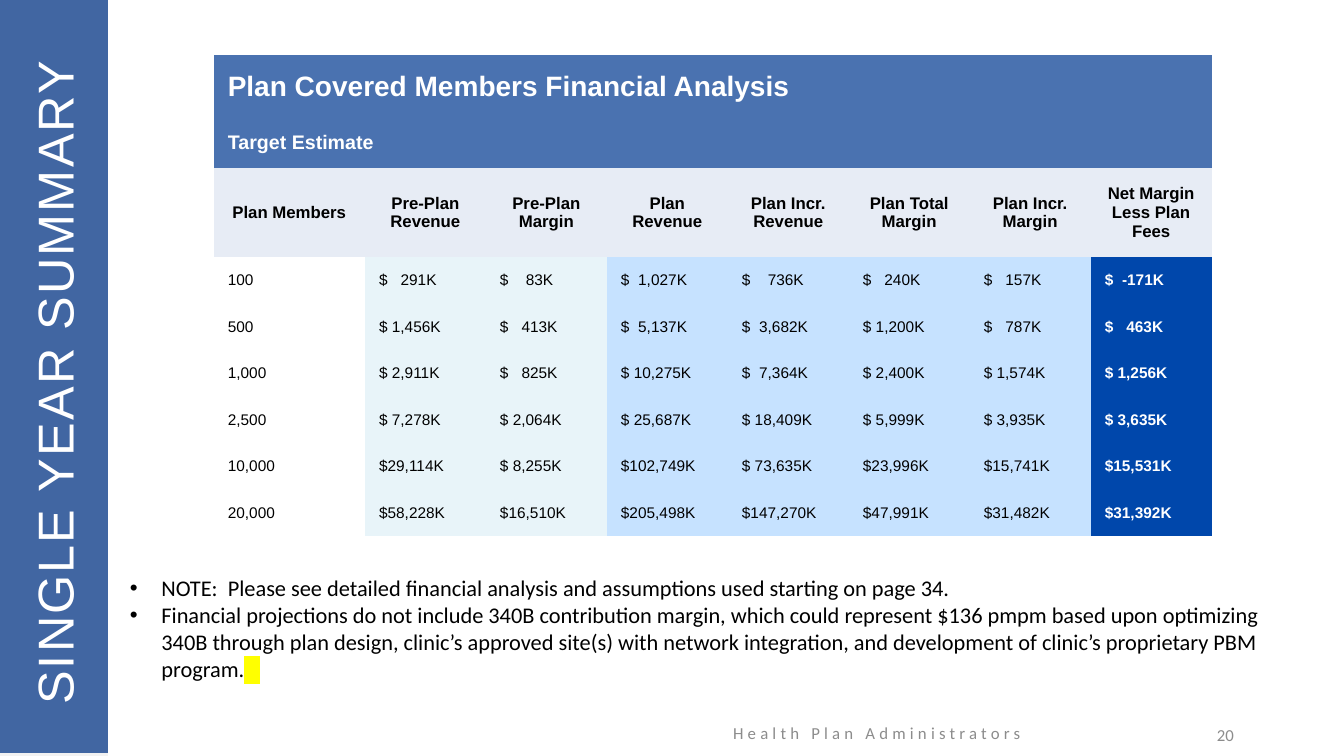
from dataclasses import dataclass

import lxml.etree
import pptx
import pptx.dml.color
import pptx.enum.shapes
import pptx.enum.text
import pptx.oxml.ns
import pptx.shapes.autoshape
import pptx.slide
import pptx.table
import pptx.text.text
import pptx.util

RGBColor = pptx.dml.color.RGBColor
Align = pptx.enum.text.PP_ALIGN
Anchor = pptx.enum.text.MSO_ANCHOR
qn = pptx.oxml.ns.qn

WHITE = RGBColor(0xFF, 0xFF, 0xFF)
BLACK = RGBColor(0x00, 0x00, 0x00)
GREY = RGBColor(0x8C, 0x8C, 0x8C)
PALE_GREY = RGBColor(0xF2, 0xF2, 0xF2)
NAVY = RGBColor(0x25, 0x4F, 0x96)
BANNER_BLUE = RGBColor(0x4A, 0x72, 0xB0)
HEADING_TINT = RGBColor(0xE7, 0xEC, 0xF5)
BEFORE_TINT = RGBColor(0xE8, 0xF4, 0xF9)
AFTER_TINT = RGBColor(0xC6, 0xE2, 0xFF)
COBALT = RGBColor(0x00, 0x47, 0xAB)
YELLOW = RGBColor(0xFF, 0xFF, 0x00)

GRID_STEP = pptx.util.Inches(0.1)
GRID_COLUMNS, GRID_ROWS = 133.33, 75
PLAIN_TABLE = "{2D5ABB26-0587-4C30-8999-92F81FD0307C}"
FIGURE_SIZE = 11
DIGIT_EM, SPACE_EM = 0.56, 0.28


def grid(steps: float) -> pptx.util.Emu:
    return pptx.util.Emu(round(steps * GRID_STEP))


@dataclass(frozen=True)
class Area:
    column: float
    row: float
    columns: float
    rows: float

    def lengths(self) -> list[pptx.util.Emu]:
        return [grid(steps) for steps in (self.column, self.row, self.columns, self.rows)]


@dataclass(frozen=True)
class Style:
    size: float
    color: RGBColor
    font: str = "Arial"
    bold: bool = False
    spacing: int = 0


@dataclass(frozen=True)
class Label:
    text: str
    area: Area
    style: Style
    align: Align = Align.LEFT
    rotation: float = 0


@dataclass(frozen=True)
class Panel:
    area: Area
    color: RGBColor
    opacity: int = 100


@dataclass(frozen=True)
class Measure:
    heading: str
    figures: tuple[int, ...]
    digits: int
    fill: RGBColor
    style: Style = Style(FIGURE_SIZE, BLACK)


PANELS = (
    Panel(Area(0, 0, 10.7, GRID_ROWS), PALE_GREY),
    Panel(Area(0, -0.3, 10.7, GRID_ROWS), NAVY, 86),
)
LABELS = (
    Label("Health Plan Administrators", Area(64.5, 70.7, 45, 4),
          Style(12, GREY, "Calibri", spacing=300), Align.CENTER),
    Label("20", Area(93.4, 70.9, 30, 4), Style(12, GREY, "Calibri"), Align.RIGHT),
    Label("SINGLE YEAR SUMMARY", Area(-28.3, 33.2, 67.2, 8.2),
          Style(36, WHITE, spacing=150), rotation=270),
)
NOTES_AREA = Area(11.9, 56.5, 119, 11.8)
NOTES_STYLE = Style(16, BLACK, "Calibri")
NOTES = (
    "NOTE:  Please see detailed financial analysis and assumptions used starting on page 34.",
    "Financial projections do not include 340B contribution margin, which could represent $136 pmpm "
    "based upon optimizing 340B through plan design, clinic’s approved site(s) with network integration, "
    "and development of clinic’s proprietary PBM program.",
)

TABLE_AREA = Area(21.2, 5.5, 99, 47.7)
MEMBERS_COLUMN, MEASURE_COLUMN = 15, 12
BANNERS = (
    ("Plan Covered Members Financial Analysis", Style(20, WHITE, bold=True)),
    ("Target Estimate", Style(14, WHITE, bold=True)),
)
HEADING_STYLE = Style(12, BLACK, bold=True)
MEMBERS = (100, 500, 1000, 2500, 10000, 20000)
MEASURES = (
    Measure("Pre-Plan Revenue", (291, 1456, 2911, 7278, 29114, 58228), 6, BEFORE_TINT),
    Measure("Pre-Plan Margin", (83, 413, 825, 2064, 8255, 16510), 6, BEFORE_TINT),
    Measure("Plan Revenue", (1027, 5137, 10275, 25687, 102749, 205498), 7, AFTER_TINT),
    Measure("Plan Incr. Revenue", (736, 3682, 7364, 18409, 73635, 147270), 7, AFTER_TINT),
    Measure("Plan Total Margin", (240, 1200, 2400, 5999, 23996, 47991), 6, AFTER_TINT),
    Measure("Plan Incr. Margin", (157, 787, 1574, 3935, 15741, 31482), 6, AFTER_TINT),
    Measure("Net Margin Less Plan Fees", (-171, 463, 1256, 3635, 15531, 31392), 6, COBALT,
            Style(FIGURE_SIZE, WHITE, bold=True)),
)
ROW_HEIGHTS = (6.2, 5, 8.8) + (4.62,) * len(MEMBERS)


def add_run(paragraph: pptx.text.text._Paragraph, text: str, style: Style) -> pptx.text.text._Run:
    run = paragraph.add_run()
    run.text = text
    run.font.name = style.font
    run.font.size = pptx.util.Pt(style.size)
    run.font.bold = style.bold
    run.font.color.rgb = style.color
    if style.spacing:
        run.font._element.set("spc", str(style.spacing))
    return run


def draw_panel(slide: pptx.slide.Slide, panel: Panel) -> None:
    side = slide.shapes.add_shape(pptx.enum.shapes.MSO_SHAPE.RECTANGLE, *panel.area.lengths())
    side.shadow.inherit = False
    side.fill.solid()
    side.fill.fore_color.rgb = panel.color
    side.line.fill.background()
    if panel.opacity < 100:
        tint = side._element.spPr.find(qn("a:solidFill"))[0]
        lxml.etree.SubElement(tint, qn("a:alpha"), val=str(panel.opacity * 1000))


def draw_label(slide: pptx.slide.Slide, label: Label) -> None:
    box = slide.shapes.add_textbox(*label.area.lengths())
    box.rotation = label.rotation
    box.text_frame.word_wrap = True
    box.text_frame.vertical_anchor = Anchor.MIDDLE
    paragraph = box.text_frame.paragraphs[0]
    paragraph.alignment = label.align
    add_run(paragraph, label.text, label.style)


def draw_notes(slide: pptx.slide.Slide) -> None:
    frame = slide.shapes.add_textbox(*NOTES_AREA.lengths()).text_frame
    frame.word_wrap = True
    for index, note in enumerate(NOTES):
        paragraph = frame.add_paragraph() if index else frame.paragraphs[0]
        properties = paragraph._p.get_or_add_pPr()
        properties.set("marL", str(grid(3.13)))
        properties.set("indent", str(grid(-3.13)))
        lxml.etree.SubElement(properties, qn("a:buFont"), typeface="Arial")
        lxml.etree.SubElement(properties, qn("a:buChar"), char="•")
        add_run(paragraph, note, NOTES_STYLE)
    marker = add_run(paragraph, "   ", NOTES_STYLE)
    highlight = lxml.etree.Element(qn("a:highlight"))
    lxml.etree.SubElement(highlight, qn("a:srgbClr"), val=str(YELLOW))
    marker.font._element.find(qn("a:solidFill")).addnext(highlight)


def fill_cell(cell: pptx.table._Cell, text: str, style: Style, fill: RGBColor | None,
              align: Align = Align.LEFT) -> pptx.text.text._Paragraph:
    cell.margin_left = cell.margin_right = grid(1.4)
    cell.margin_top = cell.margin_bottom = 0
    cell.vertical_anchor = Anchor.MIDDLE
    if fill is None:
        cell.fill.background()
    else:
        cell.fill.solid()
        cell.fill.fore_color.rgb = fill
    paragraph = cell.text_frame.paragraphs[0]
    paragraph.alignment = align
    add_run(paragraph, text, style)
    return paragraph


def fill_figure(cell: pptx.table._Cell, figure: int, measure: Measure) -> None:
    amount = f"{figure:,}K"
    gap = measure.digits + 1 - len(amount)
    separator = "\t" if gap > 1 else " " * gap
    paragraph = fill_cell(cell, f"${separator}{amount}", measure.style, measure.fill)
    if gap > 1:
        stop = pptx.util.Pt(FIGURE_SIZE * (DIGIT_EM + gap * SPACE_EM))
        tabs = lxml.etree.SubElement(paragraph._p.get_or_add_pPr(), qn("a:tabLst"))
        lxml.etree.SubElement(tabs, qn("a:tab"), pos=str(stop), algn="l")


def draw_table(slide: pptx.slide.Slide) -> None:
    frame = slide.shapes.add_table(len(ROW_HEIGHTS), len(MEASURES) + 1, *TABLE_AREA.lengths())
    table = frame.table
    table.first_row = table.horz_banding = False
    table._tbl.tblPr.find(qn("a:tableStyleId")).text = PLAIN_TABLE
    for row, height in zip(table.rows, ROW_HEIGHTS):
        row.height = grid(height)
    for index, column in enumerate(table.columns):
        column.width = grid(MEASURE_COLUMN if index else MEMBERS_COLUMN)
    for index, (text, style) in enumerate(BANNERS):
        table.cell(index, 0).merge(table.cell(index, len(MEASURES)))
        fill_cell(table.cell(index, 0), text, style, BANNER_BLUE)
    heading_row = len(BANNERS)
    headings = ("Plan Members", *(measure.heading for measure in MEASURES))
    for index, heading in enumerate(headings):
        fill_cell(table.cell(heading_row, index), heading, HEADING_STYLE, HEADING_TINT, Align.CENTER)
    for row, members in enumerate(MEMBERS, heading_row + 1):
        fill_cell(table.cell(row, 0), f"{members:,}", Style(FIGURE_SIZE, BLACK), None)
    for column, measure in enumerate(MEASURES, 1):
        for row, figure in enumerate(measure.figures, heading_row + 1):
            fill_figure(table.cell(row, column), figure, measure)


def main() -> None:
    deck = pptx.Presentation()
    deck.slide_width, deck.slide_height = grid(GRID_COLUMNS), grid(GRID_ROWS)
    slide = deck.slides.add_slide(deck.slide_layouts[6])
    for panel in PANELS:
        draw_panel(slide, panel)
    for label in LABELS:
        draw_label(slide, label)
    draw_notes(slide)
    draw_table(slide)
    deck.save("out.pptx")


if __name__ == "__main__":
    main()
